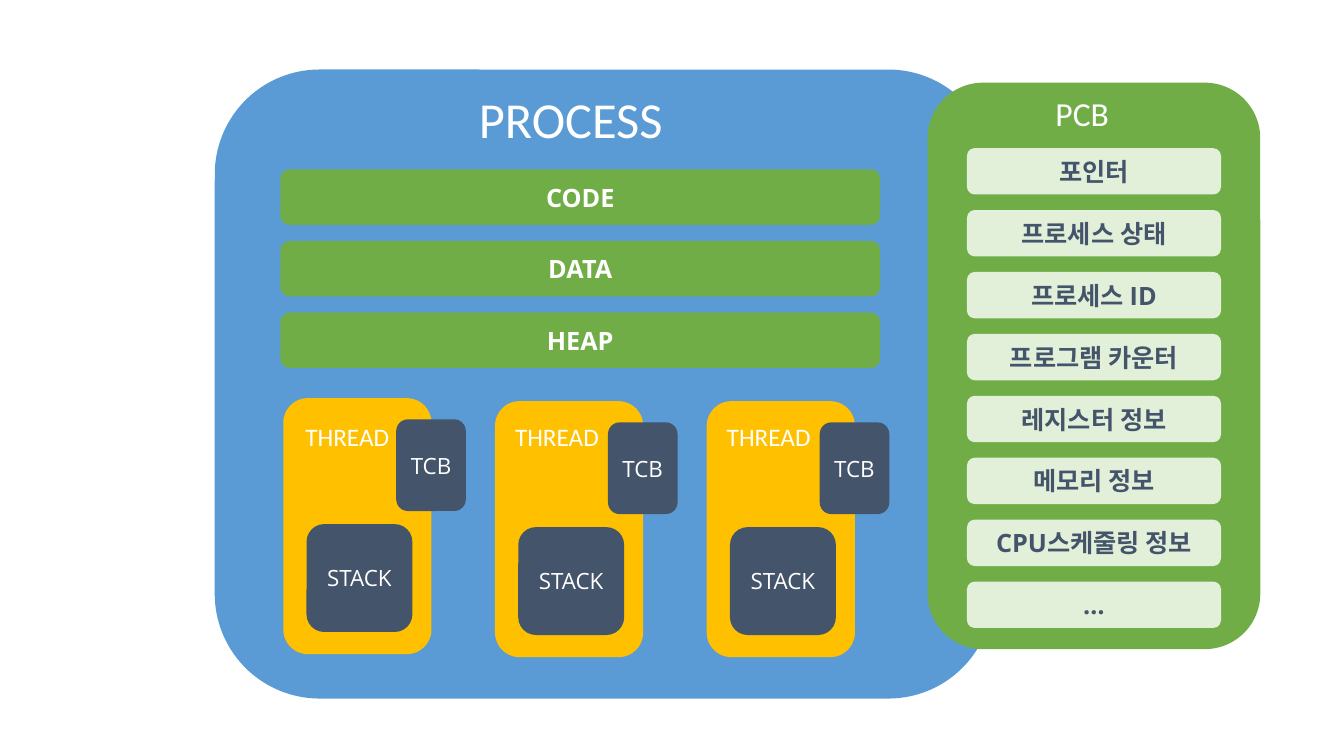
from collections import namedtuple
from dataclasses import dataclass

from pptx import Presentation
from pptx.dml.color import RGBColor
from pptx.enum.shapes import MSO_SHAPE
from pptx.enum.text import MSO_ANCHOR, MSO_AUTO_SIZE, PP_ALIGN
from pptx.util import Inches, Pt

ROUNDED = MSO_SHAPE.ROUNDED_RECTANGLE
MIDDLE, TOP = MSO_ANCHOR.MIDDLE, MSO_ANCHOR.TOP
CENTER, LEFT = PP_ALIGN.CENTER, PP_ALIGN.LEFT
NO_FIT = MSO_AUTO_SIZE.NONE
TITLE_ONLY = 5

Box = namedtuple("Box", "left top width height")


@dataclass(frozen=True)
class Theme:
    blue: str = "5B9BD5"
    green: str = "70AD47"
    pale_green: str = "E2F0D9"
    amber: str = "FFC000"
    slate: str = "44546A"
    white: str = "FFFFFF"
    label_font: str = "Calibri"
    block_font: str = "Open Sans"
    title_size: int = 36
    heading_size: int = 24
    body_size: int = 18
    small_size: int = 16


THEME = Theme()
SEGMENTS = ["CODE", "DATA", "HEAP"]
PCB_FIELDS = [
    "포인터", "프로세스 상태", "프로세스 ID", "프로그램 카운터",
    "레지스터 정보", "메모리 정보", "CPU스케줄링 정보", "…",
]


def inset(box, left, top, width, height):
    return Box(box.left + left, box.top + top, width, height)


def write(shape, text, size, color, font, align, anchor, bold=False):
    frame = shape.text_frame
    frame.text = text
    frame.word_wrap = True
    frame.auto_size = NO_FIT
    frame.vertical_anchor = anchor
    para = frame.paragraphs[0]
    para.alignment = align
    span = para.runs[0].font
    span.name, span.size, span.bold = font, Pt(size), bold
    span.color.rgb = RGBColor.from_string(color)


def add_block(shapes, box, fill, text="", size=THEME.body_size,
              color=THEME.white, bold=True):
    block = shapes.add_shape(ROUNDED, *map(Inches, box))
    block.shadow.inherit = False
    block.fill.solid()
    block.fill.fore_color.rgb = RGBColor.from_string(fill)
    block.line.fill.background()
    if text:
        write(block, text, size, color, THEME.block_font, CENTER, MIDDLE, bold)
    return block


def add_label(shapes, box, text, size):
    label = shapes.add_textbox(*map(Inches, box))
    write(label, text, size, THEME.white, THEME.label_font, LEFT, TOP)


def add_title(page, box, text, panel):
    title = page.shapes.title
    title.left, title.top, title.width, title.height = map(Inches, box)
    write(title, text, THEME.title_size, THEME.white, THEME.label_font, LEFT, TOP)
    panel.element.addnext(title.element)


def add_thread(page, box, label_box):
    thread = page.shapes.add_group_shape().shapes
    add_block(thread, box, THEME.amber)
    for text, part in [("STACK", inset(box, 0.23, 1.25, 1.05, 1.07)),
                       ("TCB", inset(box, 1.12, 0.21, 0.69, 0.91))]:
        add_block(thread, part, THEME.slate, text, THEME.small_size, bold=False)
    add_label(thread, label_box, "THREAD", THEME.body_size)


def add_process(page, box):
    panel = add_block(page.shapes, box, THEME.blue)
    add_title(page, inset(box, 2.52, 0.13, 3.14, 0.71), "PROCESS", panel)
    for row, segment in enumerate(SEGMENTS):
        bar = inset(box, 0.65, 0.99 + row * 0.71, 5.95, 0.55)
        add_block(page.shapes, bar, THEME.green, segment)
    for column, (drop, label_left) in enumerate([(3.26, 0.8), (3.29, 2.88), (3.29, 4.98)]):
        add_thread(page, inset(box, 0.68 + column * 2.1, drop, 1.47, 2.54),
                   inset(box, label_left, 3.44, 1.3, 0.4))


def add_pcb(page, box):
    add_block(page.shapes, box, THEME.green)
    add_label(page.shapes, inset(box, 1.17, 0.05, 1.3, 0.5), "PCB", THEME.heading_size)
    for row, field in enumerate(PCB_FIELDS):
        bar = inset(box, 0.39, 0.65 + row * 4.3 / (len(PCB_FIELDS) - 1), 2.52, 0.46)
        add_block(page.shapes, bar, THEME.pale_green, field, color=THEME.slate)


deck = Presentation()
deck.slide_width, deck.slide_height = Inches(13.33), Inches(7.5)
page = deck.slides.add_slide(deck.slide_layouts[TITLE_ONLY])
add_process(page, Box(2.13, 0.69, 7.72, 6.24))
add_pcb(page, Box(9.2, 0.82, 3.3, 5.62))
deck.save("out.pptx")
